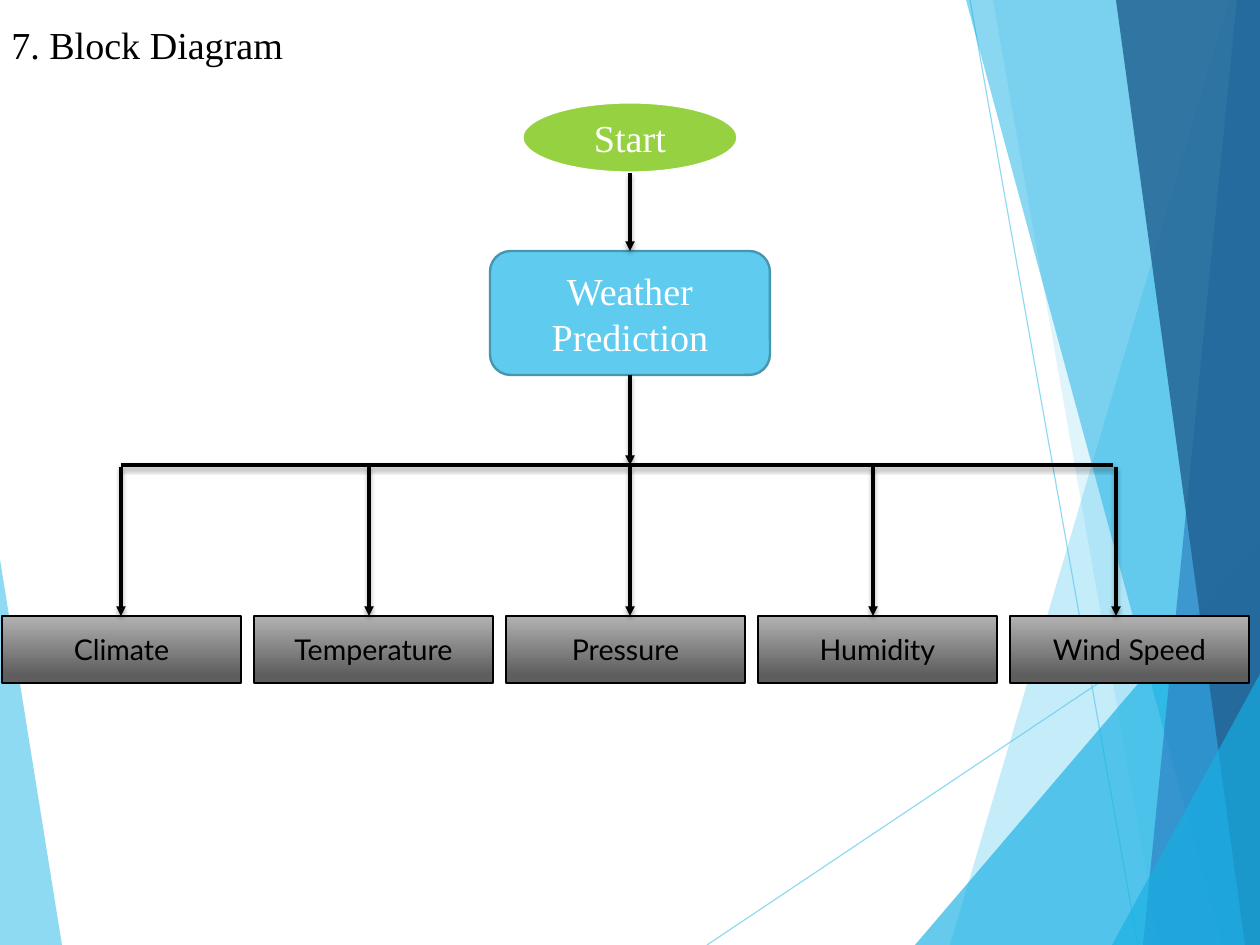
from pptx import Presentation
from pptx.dml.color import RGBColor
from pptx.enum.shapes import MSO_CONNECTOR, MSO_SHAPE
from pptx.enum.text import MSO_ANCHOR, PP_ALIGN
from pptx.oxml import parse_xml
from pptx.oxml.ns import nsdecls, qn
from pptx.util import Pt

STRAIGHT = MSO_CONNECTOR.STRAIGHT
ELLIPSE, ROUNDED, RECTANGLE = MSO_SHAPE.OVAL, MSO_SHAPE.ROUNDED_RECTANGLE, MSO_SHAPE.RECTANGLE
CENTER, LEFT, MIDDLE, TOP = PP_ALIGN.CENTER, PP_ALIGN.LEFT, MSO_ANCHOR.MIDDLE, MSO_ANCHOR.TOP
PX = 8000
WIDTH, HEIGHT = 1260, 945
SERIF, SANS = "Times New Roman", "Lato"
BLACK, WHITE, SKY = "000000", "FFFFFF", "5FCBEF"

TITLE = "7. Block Diagram"
FACTORS = ["Climate", "Temperature", "Pressure", "Humidity", "Wind Speed"]
BRANCHES = [121, 369, 630, 873, 1116]

LEFT_FACET = ([(-1, 553), (62, HEIGHT), (-1, HEIGHT)], SKY, 70)
RAYS = [((707, HEIGHT), (WIDTH, 575)), ((970, 0), (1138, HEIGHT))]
RIGHT_FACETS = [
    ([(1229, 0), (950, HEIGHT), (WIDTH, HEIGHT), (WIDTH, 0)], SKY, 36),
    ([(993, 0), (1159, HEIGHT), (WIDTH, HEIGHT), (WIDTH, 0)], SKY, 20),
    ([(915, HEIGHT), (WIDTH, 541), (WIDTH, HEIGHT)], "17B0E4", 66),
    ([(966, 0), (1222, HEIGHT), (WIDTH, HEIGHT), (WIDTH, 0)], "17B0E4", 50),
    ([(1237, 0), (1143, HEIGHT), (WIDTH, HEIGHT), (WIDTH, 0)], "2E83C3", 70),
    ([(1116, 0), (1245, HEIGHT), (WIDTH, HEIGHT), (WIDTH, 0)], "226292", 82),
    ([(1112, HEIGHT), (WIDTH, 674), (WIDTH, HEIGHT)], "17B0E4", 66),
]

CENTER_X = 630
START_BOX = (522, 102, 216, 71)
PREDICTION_BOX = (490, 251, 280, 124)
BUS_Y, BUS_END = 465, 1113
FACTOR_LEFT, FACTOR_TOP, FACTOR_PITCH = 2, 616, 252
FACTOR_WIDTH, FACTOR_HEIGHT = 239, 67


def rgb(color):
    """Turn a hex string into a colour."""
    return RGBColor.from_string(color)


def set_opacity(part, percent):
    """Make the colours of a part partly transparent."""
    for color in part._element.spPr.iter(qn("a:srgbClr")):
        color.append(parse_xml(f'<a:alpha {nsdecls("a")} val="{percent * 1000}"/>'))


def add_facet(slide, points, color, opacity):
    """Draw one translucent polygon of the background."""
    builder = slide.shapes.build_freeform(*points[0], scale=PX)
    builder.add_line_segments(points[1:], close=True)
    facet = builder.convert_to_shape()
    facet.shadow.inherit = False
    facet.fill.solid()
    facet.fill.fore_color.rgb = rgb(color)
    facet.line.fill.background()
    set_opacity(facet, opacity)


def add_line(slide, start, end, color=BLACK, width=2, arrow=False, shadow=False):
    """Draw a straight line, with an arrowhead or a soft shadow if asked."""
    ends = [value * PX for value in (*start, *end)]
    line = slide.shapes.add_connector(STRAIGHT, *ends)
    line.line.color.rgb = rgb(color)
    line.line.width = Pt(width)
    properties = line._element.spPr
    if arrow:
        properties.find(qn("a:ln")).append(
            parse_xml(f'<a:tailEnd {nsdecls("a")} type="triangle"/>'))
    soft_shadow = (
        '<a:outerShdw blurRad="38100" dist="25400" dir="5400000" rotWithShape="0">'
        '<a:srgbClr val="000000"><a:alpha val="35000"/></a:srgbClr></a:outerShdw>')
    properties.append(parse_xml(
        f'<a:effectLst {nsdecls("a")}>{soft_shadow if shadow else ""}</a:effectLst>'))
    return line


def write(part, text, font, size, color, align=CENTER, anchor=MIDDLE):
    """Put formatted text into a part."""
    frame = part.text_frame
    frame.text = text
    frame.word_wrap = True
    frame.vertical_anchor = anchor
    paragraph = frame.paragraphs[0]
    paragraph.alignment = align
    style = paragraph.runs[0].font
    style.name, style.size = font, Pt(size)
    style.color.rgb = rgb(color)


def add_block(slide, preset, box, outline, width):
    """Draw an outlined block without a shadow."""
    block = slide.shapes.add_shape(preset, *[value * PX for value in box])
    block.shadow.inherit = False
    block.line.color.rgb = rgb(outline)
    block.line.width = Pt(width)
    return block


def add_step(slide, preset, box, text, fill, outline, width):
    """Draw one plain step of the flow."""
    step = add_block(slide, preset, box, outline, width)
    step.fill.solid()
    step.fill.fore_color.rgb = rgb(fill)
    write(step, text, SERIF, 24, WHITE)


def add_factor(slide, index, text):
    """Draw one gradient block of the bottom row."""
    left = FACTOR_LEFT + index * FACTOR_PITCH
    box = (left, FACTOR_TOP, FACTOR_WIDTH, FACTOR_HEIGHT)
    factor = add_block(slide, RECTANGLE, box, BLACK, 1)
    factor.fill.gradient()
    factor.fill.gradient_angle = 270
    stops = zip(factor.fill.gradient_stops, [(0, "B2B2B2"), (0.88, "5E5E5E")])
    for stop, (position, color) in stops:
        stop.position = position
        stop.color.rgb = rgb(color)
    write(factor, text, SANS, 18, BLACK)


def main():
    """Build the block diagram slide."""
    deck = Presentation()
    deck.slide_width, deck.slide_height = WIDTH * PX, HEIGHT * PX
    slide = deck.slides.add_slide(deck.slide_layouts[6])

    add_facet(slide, *LEFT_FACET)
    for start, end in RAYS:
        set_opacity(add_line(slide, start, end, SKY, 0.75), 70)
    for facet in RIGHT_FACETS:
        add_facet(slide, *facet)

    add_step(slide, ELLIPSE, START_BOX, "Start", "96D141", WHITE, 2)
    add_step(slide, ROUNDED, PREDICTION_BOX, "Weather Prediction", SKY, "4696B1", 1.5)
    for block, end_y in [(START_BOX, PREDICTION_BOX[1]), (PREDICTION_BOX, BUS_Y)]:
        bottom = block[1] + block[3]
        add_line(slide, (CENTER_X, bottom), (CENTER_X, end_y), arrow=True, shadow=True)

    for index, factor in enumerate(FACTORS):
        add_factor(slide, index, factor)
    title = slide.shapes.add_textbox(0, 16 * PX, 301 * PX, 57 * PX)
    write(title, TITLE, SERIF, 24, BLACK, LEFT, TOP)

    add_line(slide, (BRANCHES[0], BUS_Y), (BUS_END, BUS_Y), shadow=True)
    for x in BRANCHES:
        add_line(slide, (x, BUS_Y + 2), (x, FACTOR_TOP), arrow=True, shadow=True)

    deck.save("out.pptx")


if __name__ == "__main__":
    main()
